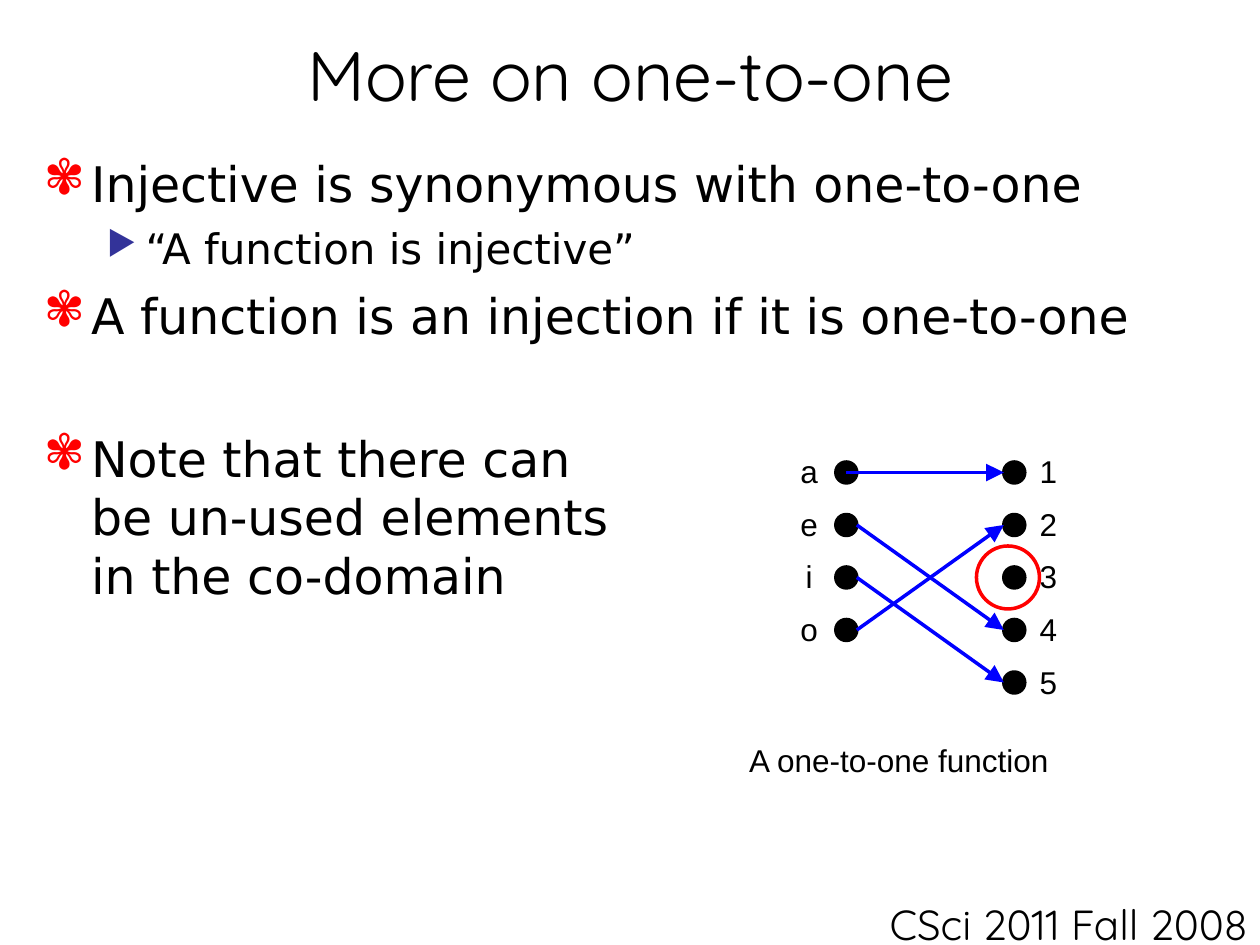
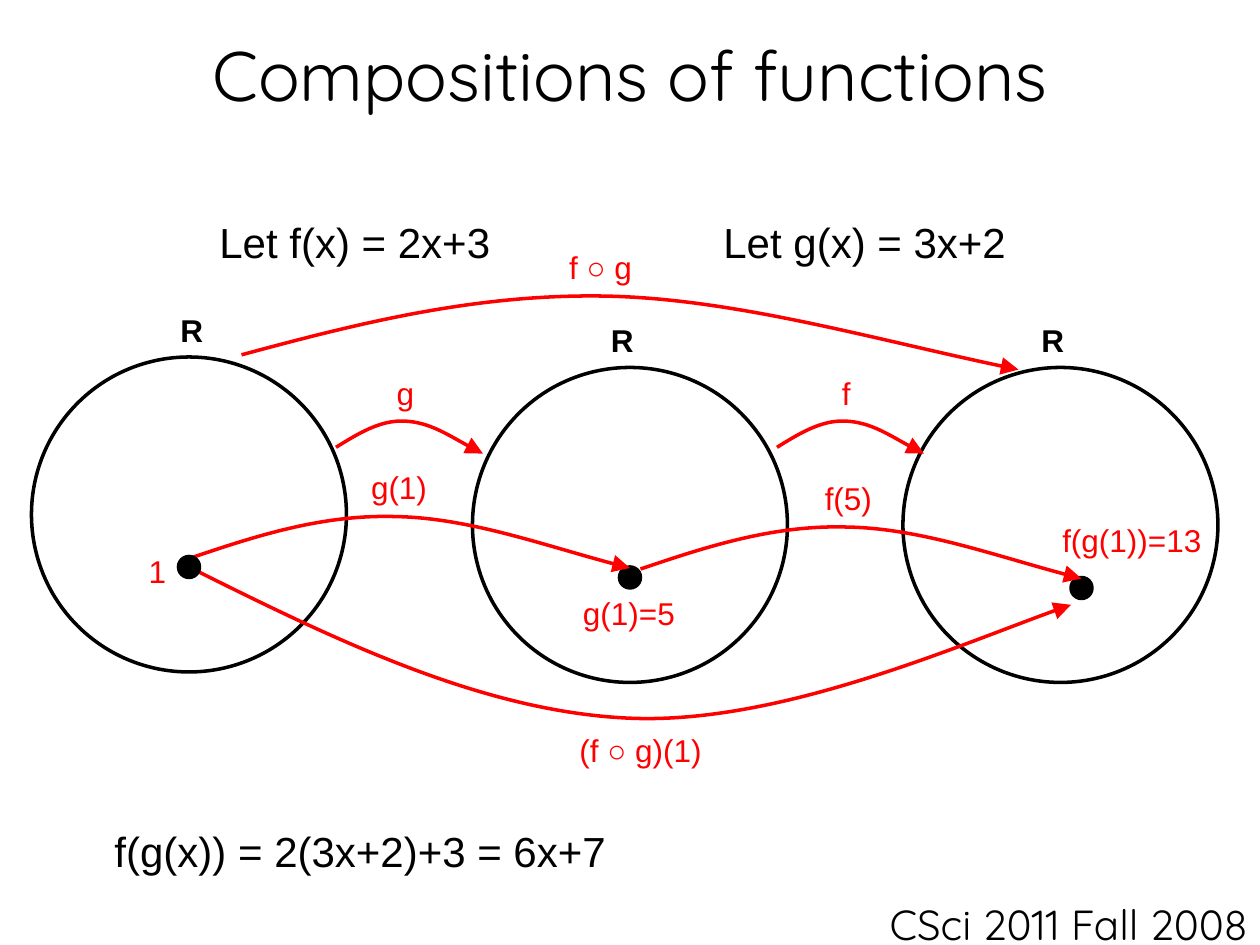
from lxml import etree
from pptx import Presentation
from pptx import util as u
from pptx.dml.color import RGBColor
from pptx.enum import shapes, text
from pptx.oxml.ns import qn

PX = 7620  # EMU per px, 120 px to the inch

BLACK = RGBColor(0x00, 0x00, 0x00)
RED = RGBColor(0xFF, 0x00, 0x00)
BLUE = RGBColor(0x00, 0x00, 0xFF)
INDIGO = RGBColor(0x33, 0x33, 0x99)

HEADING_FONT = "Quicksand"
BODY_FONT = "DejaVu Sans"
LABEL_FONT = "Arial"

CENTER = text.PP_ALIGN.CENTER
COURSE = "CSci 2011 Fall 2008"

# Level: (size, bullet, bullet colour, bullet percent, indent, hanging indent)
LEVELS = [
    (28, "✾", RED, 100, 45, 45),
    (24, "▶", INDIGO, 80, 97, 37),
]


def px(*lengths):
    return [u.Emu(length * PX) for length in lengths]


# Text
def add_run(paragraph, words, size, font, color=BLACK, bold=False):
    run = paragraph.add_run()
    run.text = words
    run.font.size = u.Pt(size)
    run.font.name = font
    run.font.bold = bold
    run.font.color.rgb = color


def add_frame(slide, left, top, width, height, wrap=True):
    frame = slide.shapes.add_textbox(*px(left, top, width, height)).text_frame
    frame.word_wrap = wrap
    return frame


def add_label(slide, words, left, top, width, height=48, size=18, color=BLACK,
              spacing=None):
    """Centred label, one paragraph per line of words."""
    frame = add_frame(slide, left, top, width, height, wrap=False)
    frame.auto_size = text.MSO_AUTO_SIZE.SHAPE_TO_FIT_TEXT
    for i, line in enumerate(words.split("\n")):
        paragraph = frame.add_paragraph() if i else frame.paragraphs[0]
        paragraph.alignment = CENTER
        if spacing:
            paragraph.line_spacing = spacing
        add_run(paragraph, line, size, LABEL_FONT, color)
    return frame


def add_tab_stops(paragraph, *stops):
    tabs = etree.SubElement(paragraph._p.get_or_add_pPr(), qn("a:tabLst"))
    for stop in stops:
        etree.SubElement(tabs, qn("a:tab"), pos=str(stop * PX), algn="l")


def add_bullet(frame, first, level, words, before):
    size, bullet, color, percent, indent, hanging = LEVELS[level]
    paragraph = frame.paragraphs[0] if first else frame.add_paragraph()
    paragraph.level = level
    paragraph.space_before = u.Pt(before)
    props = paragraph._p.get_or_add_pPr()
    props.set("marL", str(indent * PX))
    props.set("indent", str(-hanging * PX))
    bullet_color = etree.SubElement(props, qn("a:buClr"))
    etree.SubElement(bullet_color, qn("a:srgbClr"), val=str(color))
    etree.SubElement(props, qn("a:buSzPct"), val=str(percent * 1000))
    etree.SubElement(props, qn("a:buChar"), char=bullet)
    for i, line in enumerate(words.split("\n")):
        if i:
            paragraph.add_line_break()
        add_run(paragraph, line, size, BODY_FONT)


# Drawing
def add_circle(slide, left, top, size, color=BLACK, filled=False):
    circle = slide.shapes.add_shape(shapes.MSO_SHAPE.OVAL,
                                    *px(left, top, size, size))
    circle.shadow.inherit = False
    if filled:
        circle.fill.solid()
        circle.fill.fore_color.rgb = color
    else:
        circle.fill.background()
    circle.line.color.rgb = color
    circle.line.width = u.Pt(2)


def add_dot(slide, x, y):
    add_circle(slide, x - 10, y - 10, 20, filled=True)


def style_arrow(line, color):
    line.color.rgb = color
    line.width = u.Pt(2)
    etree.SubElement(line._get_or_add_ln(), qn("a:tailEnd"),
                     type="triangle", w="lg", len="lg")


def add_arrow(slide, start, end):
    arrow = slide.shapes.add_connector(shapes.MSO_CONNECTOR.STRAIGHT,
                                       *px(*start, *end))
    style_arrow(arrow.line, BLUE)
    etree.SubElement(arrow._element.spPr, qn("a:effectLst"))


def add_curve(slide, points, dx=0, dy=0):
    """Red arrow along cubic curves: a start, then three points per curve."""
    (x, y), *rest = [(x + dx, y + dy) for x, y in points]
    builder = slide.shapes.build_freeform(x, y, scale=PX)
    builder.add_line_segments(rest, close=False)
    curve = builder.convert_to_shape()
    curve.shadow.inherit = False
    curve.fill.background()
    style_arrow(curve.line, RED)
    # Turn each three straight segments into one cubic segment
    outline = next(curve._element.iter(qn("a:path")))
    segments = outline.findall(qn("a:lnTo"))
    for i in range(0, len(segments), 3):
        cubic = etree.SubElement(outline, qn("a:cubicBezTo"))
        for segment in segments[i:i + 3]:
            cubic.append(segment[0])
            outline.remove(segment)


# Slides
def add_slide(deck, title):
    slide = deck.slides.add_slide(deck.slide_layouts[6])
    footer = add_frame(slide, 790, 850, 410, 50).paragraphs[0]
    footer.alignment = text.PP_ALIGN.RIGHT
    add_run(footer, COURSE, 24, HEADING_FONT)
    heading = add_frame(slide, 30, 20, 1140, 100)
    heading.vertical_anchor = text.MSO_ANCHOR.MIDDLE
    heading.paragraphs[0].alignment = CENTER
    add_run(heading.paragraphs[0], title, 40, HEADING_FONT)
    return slide


def build_one_to_one(deck):
    slide = add_slide(deck, "More on one-to-one")
    body = add_frame(slide, 30, 140, 1140, 690)
    points = [
        (0, "Injective is synonymous with one-to-one", 0),
        (1, "“A function is injective”", 6),
        (0, "A function is an injection if it is one-to-one", 7),
        (0, "Note that there can \nbe un-used elements \nin the co-domain", 48),
    ]
    for i, point in enumerate(points):
        add_bullet(body, i == 0, *point)

    # Mapping from letters to numbers
    domain_x, codomain_x, first_y, step = 806, 966, 450, 50
    for x, count in ((domain_x, 4), (codomain_x, 5)):
        for row in range(count):
            add_dot(slide, x, first_y + row * step)
    add_arrow(slide, (domain_x, first_y), (codomain_x - 10, first_y))
    for source, target in ((1, 3), (3, 1), (2, 4)):
        add_arrow(slide, (domain_x + 10, first_y + source * step),
                  (codomain_x - 10, first_y + target * step))
    add_label(slide, "1\n2\n3\n4\n5", 976, 410, 45, 264, spacing=1.4)
    add_label(slide, "a\ne\ni\no", 748, 410, 45, 264, spacing=1.4)
    add_label(slide, "A one-to-one function", 696, 700, 320)
    add_circle(slide, 930, 520, 60, RED)


def build_compositions(deck):
    slide = add_slide(deck, "Compositions of functions")

    # The three sets, each with its name
    for left, top, name_left in ((30, 340, 160), (450, 350, 570),
                                 (860, 350, 980)):
        add_circle(slide, left, top, 300)
        name = add_frame(slide, name_left, top - 50, 45, 48)
        add_run(name.paragraphs[0], "R", 18, LABEL_FONT, bold=True)
    add_dot(slide, 600, 550)
    add_dot(slide, 1030, 560)

    # Arrows between sets and between elements
    set_arc = [(320, 426), (341, 413), (362, 400), (385, 401),
               (409, 402), (436, 420), (460, 432)]
    element_arc = [(180, 532), (242, 511), (306, 490), (376, 492),
                   (446, 493), (528, 523), (600, 541)]
    add_curve(slide, set_arc)
    add_curve(slide, set_arc, dx=420)
    add_curve(slide, element_arc)
    add_curve(slide, element_arc, dx=430, dy=10)
    add_curve(slide, [(230, 338), (341, 308), (452, 280), (575, 282),
                      (698, 284), (842, 326), (970, 352)])
    add_curve(slide, [(180, 540), (320, 610), (460, 678), (600, 684),
                      (740, 690), (923, 610), (1020, 576)])
    add_dot(slide, 180, 540)  # covers the start of both arrows

    # Labels: words, centre, top, width
    for words, center, top, width in (
            ("g", 386, 350, 50), ("f", 806, 350, 40),
            ("f ○ g", 572, 230, 100), ("g(1)", 380, 440, 90),
            ("f(5)", 808, 450, 80), ("(f ○ g)(1)", 610, 690, 160),
            ("g(1)=5", 599, 560, 130), ("f(g(1))=13", 1078, 490, 180),
            ("1", 150, 520, 50)):
        add_label(slide, words, center - width // 2, top, width, color=RED)

    # Definitions and result
    definitions = add_label(slide, "Let f(x) = 2x+3\t\tLet g(x) = 3x+2",
                            197, 200, 773, 60, size=24)
    add_tab_stops(definitions.paragraphs[0], 360, 480)
    add_label(slide, "f(g(x)) = 2(3x+2)+3 = 6x+7", 93, 780, 500, 60, size=24)


def main():
    deck = Presentation()
    deck.slide_width, deck.slide_height = px(1200, 900)
    build_one_to_one(deck)
    build_compositions(deck)
    deck.save("out.pptx")


if __name__ == "__main__":
    main()
